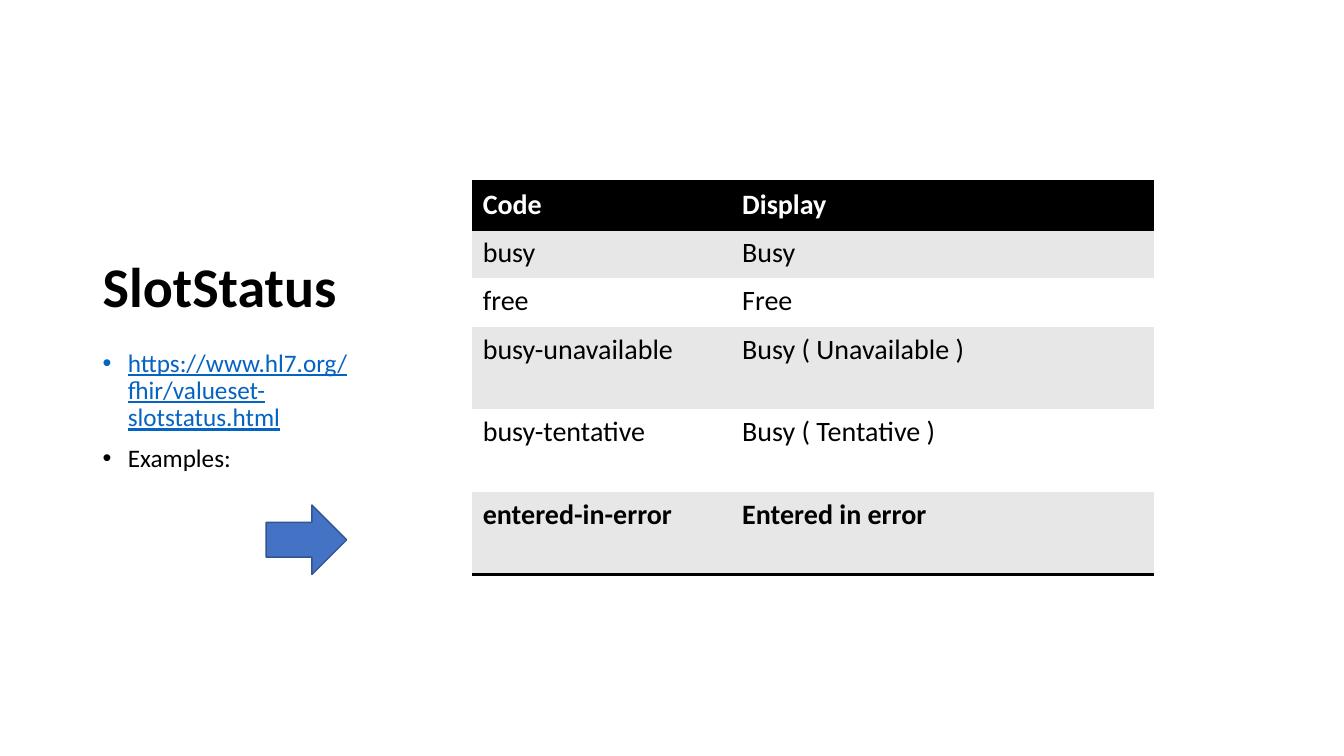
import pptx
import pptx.util
import pptx.dml.color
import pptx.enum.shapes
import pptx.enum.text
import pptx.oxml
import pptx.oxml.ns

W, H = 13.33, 7.5
INK, LINK, BAND, PAPER = "000000", "0563C1", "E7E7E7", "FFFFFF"
ARROW, ARROW_EDGE = "4472C4", "325491"
ROWS = [
    ("Code", "Display"),
    ("busy", "Busy"),
    ("free", "Free"),
    ("busy-unavailable", "Busy ( Unavailable )"),
    ("busy-tentative", "Busy ( Tentative )"),
    ("entered-in-error", "Entered in error"),
]
COL_SHARES = (0.38, 0.62)
ROW_HEIGHTS = (0.48,) * 3 + (0.82,) * 3


def rgb(value):
    """Turn a hex string into a colour."""
    return pptx.dml.color.RGBColor.from_string(value)


def inches(*values):
    """Turn numbers of inches into lengths."""
    return [pptx.util.Inches(v) for v in values]


def element(xml):
    """Parse a DrawingML element written with the a: prefix."""
    head, rest = xml.split(" ", 1)
    return pptx.oxml.parse_xml(f"{head} {pptx.oxml.ns.nsdecls('a')} {rest}")


def write(p, text, color=INK, **formats):
    """Add a formatted run to a paragraph."""
    r = p.add_run()
    r.text = text
    r.font.color.rgb = rgb(color)
    for name, value in {"name": "Calibri", **formats}.items():
        setattr(r.font, name, value)


def text_box(slide, box, anchor):
    """Add a wrapping text frame in the given box."""
    tf = slide.shapes.add_textbox(*inches(*box)).text_frame
    tf.word_wrap = True
    tf.vertical_anchor = anchor
    return tf


def add_title(slide, box):
    """Place the slide title at the foot of its box."""
    tf = text_box(slide, box, pptx.enum.text.MSO_ANCHOR.BOTTOM)
    p = tf.paragraphs[0]
    p.line_spacing = 0.9
    write(p, "SlotStatus", size=pptx.util.Pt(40), bold=True)


def add_bullets(slide, box):
    """Place the bulleted source address and the examples lead-in."""
    tf = text_box(slide, box, pptx.enum.text.MSO_ANCHOR.TOP)
    items = [("https://www.hl7.org/fhir/valueset-slotstatus.html", LINK, True),
             ("Examples: ", INK, False)]
    indent = pptx.util.Inches(0.25)
    for i, (text, color, underline) in enumerate(items):
        p = tf.add_paragraph() if i else tf.paragraphs[0]
        p.line_spacing = 0.9
        p.space_before = pptx.util.Pt(10)
        pPr = p._p.get_or_add_pPr()
        pPr.set("marL", str(indent))
        pPr.set("indent", str(-indent))
        pPr.append(element('<a:buFont typeface="Arial"/>'))
        pPr.append(element('<a:buChar char="•"/>'))
        write(p, text, color, size=pptx.util.Pt(18), underline=underline)


def add_arrow(slide, box):
    """Place the arrow that points at the last table row."""
    sp = slide.shapes.add_shape(
        pptx.enum.shapes.MSO_SHAPE.RIGHT_ARROW, *inches(*box))
    sp.shadow.inherit = False
    sp.fill.solid()
    sp.fill.fore_color.rgb = rgb(ARROW)
    sp.line.color.rgb = rgb(ARROW_EDGE)
    sp.line.width = pptx.util.Pt(1)


def set_borders(cell, ruled):
    """Rule the named sides of a cell and clear the others."""
    tcPr = cell._tc.get_or_add_tcPr()
    for i, side in enumerate("LRTB"):
        paint = (f'<a:solidFill><a:srgbClr val="{INK}"/></a:solidFill>'
                 if side in ruled else "<a:noFill/>")
        width = pptx.util.Pt(2)
        tcPr.insert(i, element(f'<a:ln{side} w="{width}">{paint}</a:ln{side}>'))


def add_codes(slide, box):
    """Place the table of status codes and display names."""
    table = slide.shapes.add_table(
        len(ROWS), len(COL_SHARES), *inches(*box)).table
    for column, share in zip(table.columns, COL_SHARES):
        column.width = pptx.util.Inches(box[2] * share)
    last = len(ROWS) - 1
    rules = {0: "TB", 1: "T", last: "B"}
    margins = dict(zip(("margin_left", "margin_top", "margin_right", "margin_bottom"),
                       inches(0.11, 0.06, 0.11, 0.06)))
    for i, (row, height) in enumerate(zip(ROWS, ROW_HEIGHTS)):
        table.rows[i].height = pptx.util.Inches(height)
        fill = INK if i == 0 else BAND if i % 2 else PAPER
        for j, text in enumerate(row):
            cell = table.cell(i, j)
            for name, value in margins.items():
                setattr(cell, name, value)
            cell.fill.solid()
            cell.fill.fore_color.rgb = rgb(fill)
            set_borders(cell, rules.get(i, ""))
            write(cell.text_frame.paragraphs[0], text, INK if i else PAPER,
                  size=pptx.util.Pt(20), bold=i in (0, last))


def build_slide(slide, box):
    """Lay out the whole slide in shares of its box."""
    x, y, w, h = box

    def part(left, top, width, height):
        """Give the box of one region from its shares."""
        return x + left * w, y + top * h, width * w, height * h

    add_title(slide, part(0.069, 0.093, 0.23, 0.336))
    add_bullets(slide, part(0.069, 0.457, 0.227, 0.449))
    add_arrow(slide, part(0.198, 0.668, 0.06, 0.092))
    add_codes(slide, part(0.351, 0.24, 0.508, 0.521))


prs = pptx.Presentation()
prs.slide_width, prs.slide_height = inches(W, H)
build_slide(prs.slides.add_slide(prs.slide_layouts[6]), (0, 0, W, H))
prs.save("out.pptx")
